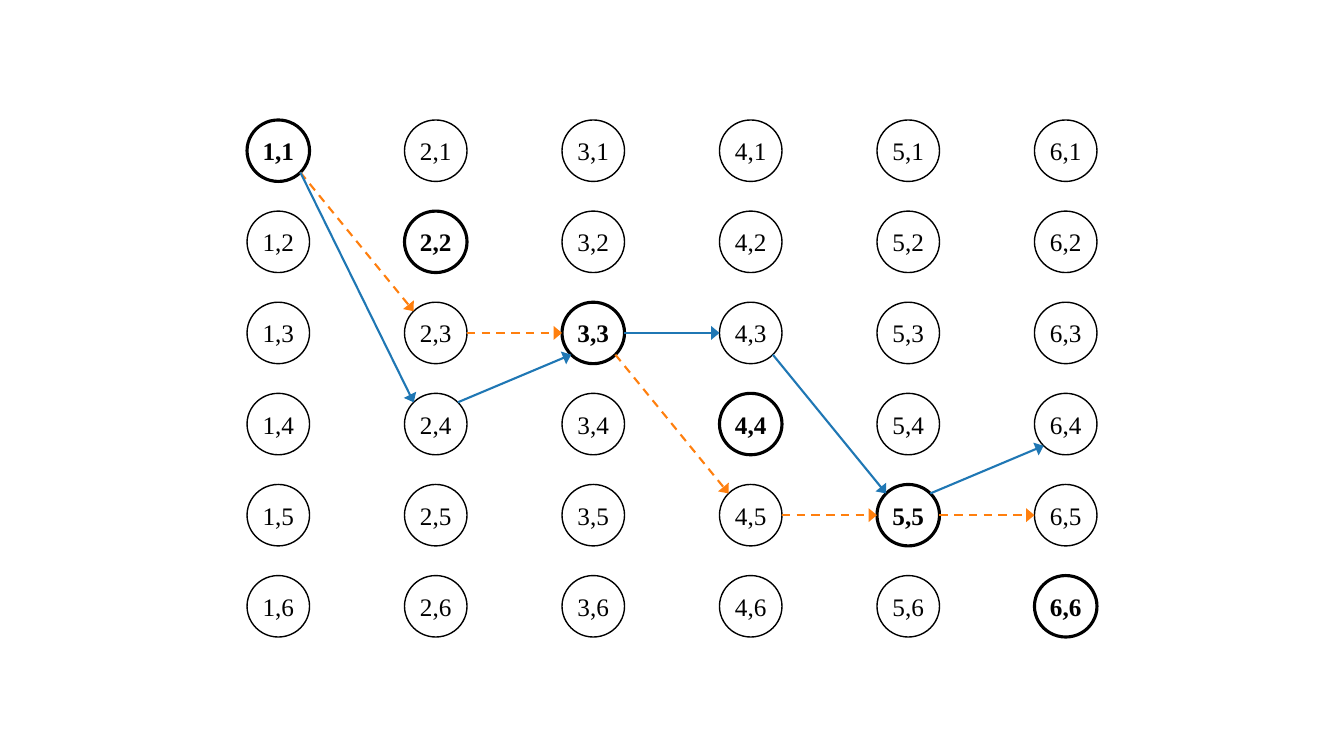
from math import sqrt

from lxml import etree
from pptx import Presentation
from pptx.dml.color import RGBColor
from pptx.enum import dml, shapes, text
from pptx.oxml import ns
from pptx.util import Inches, Pt

COLORS = {"ink": "000000", "solid": "1F77B4", "dashed": "FF7F0E"}
FONT = "Times New Roman"
GRID_SIZE = 6
LEFT, TOP = 2.45, 1.19
GRID_WIDTH, GRID_HEIGHT = 7.81, 4.52
NODE_WIDTH, NODE_HEIGHT = 0.62, 0.61

DIAGONAL = sqrt(0.5)
SIDES = {
    "left": (-1, 0),
    "right": (1, 0),
    "top left": (-DIAGONAL, -DIAGONAL),
    "top right": (DIAGONAL, -DIAGONAL),
    "bottom left": (-DIAGONAL, DIAGONAL),
    "bottom right": (DIAGONAL, DIAGONAL),
}
ARROWS = [
    ("dashed", (1, 1), "bottom right", (2, 3), "top left"),
    ("solid", (1, 1), "bottom right", (2, 4), "top left"),
    ("dashed", (2, 3), "right", (3, 3), "left"),
    ("solid", (2, 4), "top right", (3, 3), "bottom left"),
    ("solid", (3, 3), "right", (4, 3), "left"),
    ("dashed", (3, 3), "bottom right", (4, 5), "top left"),
    ("solid", (4, 3), "bottom right", (5, 5), "top left"),
    ("dashed", (4, 5), "right", (5, 5), "left"),
    ("dashed", (5, 5), "right", (6, 5), "left"),
    ("solid", (5, 5), "top right", (6, 4), "bottom left"),
]


def color(name):
    return RGBColor.from_string(COLORS[name])


def node_corner(column, row):
    steps = GRID_SIZE - 1
    return (
        LEFT + (column - 1) * GRID_WIDTH / steps,
        TOP + (row - 1) * GRID_HEIGHT / steps,
    )


def node_edge(node, side):
    x, y = node_corner(*node)
    across, down = SIDES[side]
    return (
        Inches(x + NODE_WIDTH / 2 * (1 + across)),
        Inches(y + NODE_HEIGHT / 2 * (1 + down)),
    )


def add_node(slide, column, row):
    on_diagonal = column == row
    x, y = node_corner(column, row)
    node = slide.shapes.add_shape(
        shapes.MSO_SHAPE.OVAL,
        Inches(x), Inches(y), Inches(NODE_WIDTH), Inches(NODE_HEIGHT),
    )
    node.shadow.inherit = False
    node.fill.background()
    node.line.color.rgb = color("ink")
    node.line.width = Pt(2.25 if on_diagonal else 1)

    frame = node.text_frame
    frame.word_wrap = False
    frame.vertical_anchor = text.MSO_ANCHOR.MIDDLE
    frame.margin_left = frame.margin_right = 0
    frame.margin_top = frame.margin_bottom = 0
    paragraph = frame.paragraphs[0]
    paragraph.text = f"{column},{row}"
    paragraph.alignment = text.PP_ALIGN.CENTER
    paragraph.font.name = FONT
    paragraph.font.size = Pt(18)
    paragraph.font.bold = on_diagonal
    paragraph.font.color.rgb = color("ink")


def add_arrow(slide, style, start, start_side, end, end_side):
    arrow = slide.shapes.add_connector(
        shapes.MSO_CONNECTOR.STRAIGHT,
        *node_edge(start, start_side), *node_edge(end, end_side),
    )
    arrow.line.color.rgb = color(style)
    arrow.line.width = Pt(1.5)
    if style == "dashed":
        arrow.line.dash_style = dml.MSO_LINE.DASH
    properties = arrow._element.spPr
    outline = properties.find(ns.qn("a:ln"))
    etree.SubElement(outline, ns.qn("a:tailEnd"), type="triangle", w="lg", len="med")
    etree.SubElement(properties, ns.qn("a:effectLst"))


def main():
    presentation = Presentation()
    presentation.slide_width = Inches(13.33)
    presentation.slide_height = Inches(7.5)
    slide = presentation.slides.add_slide(presentation.slide_layouts[6])
    for column in range(1, GRID_SIZE + 1):
        for row in range(1, GRID_SIZE + 1):
            add_node(slide, column, row)
    for arrow in ARROWS:
        add_arrow(slide, *arrow)
    presentation.save("out.pptx")


if __name__ == "__main__":
    main()
